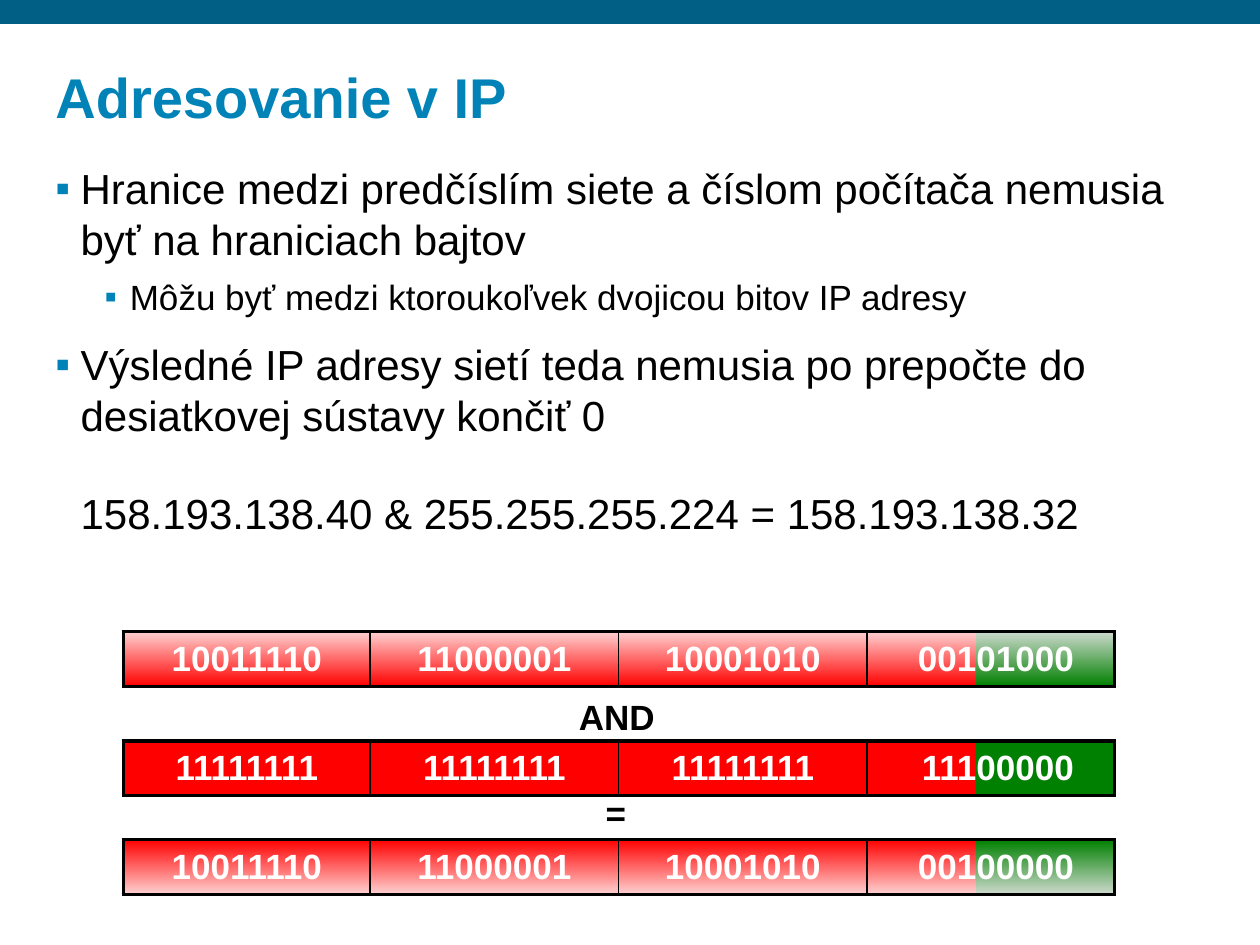
"""Build a slide on IP addressing with a bitwise AND of an address and a mask."""
import lxml.etree
import pptx
import pptx.dml.color
import pptx.enum.shapes
import pptx.enum.text
import pptx.oxml.ns
import pptx.util

Pt = pptx.util.Pt
ALIGN = pptx.enum.text.PP_ALIGN
ANCHOR = pptx.enum.text.MSO_ANCHOR
qualified = pptx.oxml.ns.qn

COLORS = {
    "bar": "015F85", "accent": "0183B7", "text": "000000", "inverse": "FFFFFF",
    "network": "FF0000", "network_light": "FFD0D0",
    "host": "008000", "host_light": "CDD9CD",
}
TITLE = "Adresovanie v IP"
BODY = [
    dict(text="Hranice medzi predčíslím siete a číslom počítača nemusia byť na hraniciach bajtov",
         size=24, indent=14.4, bullet="▪"),
    dict(text="Môžu byť medzi ktoroukoľvek dvojicou bitov IP adresy",
         size=20, indent=42.5, before=7, bullet="▪"),
    dict(text="Výsledné IP adresy sietí teda nemusia po prepočte do desiatkovej sústavy končiť 0",
         size=24, indent=14.4, before=12, bullet="▪"),
    dict(text="158.193.138.40 & 255.255.255.224 = 158.193.138.32",
         size=24, indent=14.4, before=27.6),
]
BIT_ROWS = [
    (361, ["10011110", "11000001", "10001010", "001", "01000"], ("_light", "")),
    (423.4, ["11111111", "11111111", "11111111", "111", "00000"], ("",)),
    (479.8, ["10011110", "11000001", "10001010", "001", "00000"], ("", "_light")),
]
OPERATORS = [("AND", 323.3, 396.7, 58.3), ("=", 339, 451.5, 26)]
COLUMN_WIDTHS = [141, 142, 142, 62.5, 79]
TABLE_LEFT, ROW_HEIGHT = 70.5, 31.2
OUTER_LINE, INNER_LINE = 2.25, 1


def rgb(name):
    """Return the named colour."""
    return pptx.dml.color.RGBColor.from_string(COLORS[name])


def write(paragraph, text, size, color="text", bold=False, align=ALIGN.LEFT,
          before=0, spacing=1.0, indent=0, bullet=None):
    """Fill a paragraph with one formatted run."""
    paragraph.alignment = align
    paragraph.space_before = Pt(before)
    paragraph.line_spacing = spacing
    run = paragraph.add_run()
    run.text = text
    run.font.name = "Arial"
    run.font.size = Pt(size)
    run.font.bold = bold
    run.font.color.rgb = rgb(color)
    properties = paragraph._p.get_or_add_pPr()
    properties.set("marL", str(Pt(indent)))
    if bullet:
        properties.set("indent", str(-Pt(14.4)))
        bullet_color = lxml.etree.SubElement(properties, qualified("a:buClr"))
        lxml.etree.SubElement(bullet_color, qualified("a:srgbClr"), val=COLORS["accent"])
        lxml.etree.SubElement(properties, qualified("a:buFont"), typeface="Arial")
        lxml.etree.SubElement(properties, qualified("a:buChar"), char=bullet)


def add_text(slide, left, top, width, height, paragraphs, wrap=True,
             anchor=ANCHOR.TOP, margins=(6.5, 3)):
    """Add a text box holding the given paragraphs."""
    frame = slide.shapes.add_textbox(Pt(left), Pt(top), Pt(width), Pt(height)).text_frame
    frame.word_wrap = wrap
    frame.vertical_anchor = anchor
    frame.margin_left = frame.margin_right = Pt(margins[0])
    frame.margin_top = frame.margin_bottom = Pt(margins[1])
    for index, content in enumerate(paragraphs):
        write(frame.add_paragraph() if index else frame.paragraphs[0], **content)


def set_borders(cell, widths):
    """Draw left, right, top and bottom borders; a zero width hides one."""
    properties = cell._tc.get_or_add_tcPr()
    for index, (side, width) in enumerate(zip("LRTB", widths)):
        line = lxml.etree.Element(qualified("a:ln" + side), w=str(Pt(width)))
        if width:
            fill = lxml.etree.SubElement(line, qualified("a:solidFill"))
            lxml.etree.SubElement(fill, qualified("a:srgbClr"), val=COLORS["text"])
        else:
            lxml.etree.SubElement(line, qualified("a:noFill"))
        properties.insert(index, line)


def fill_cell(cell, names):
    """Fill a cell with one colour, or with two from top to bottom."""
    if len(names) == 1:
        cell.fill.solid()
        cell.fill.fore_color.rgb = rgb(names[0])
        return
    cell.fill.gradient()
    cell.fill.gradient_angle = 270
    for stop, name in zip(cell.fill.gradient_stops, names):
        stop.color.rgb = rgb(name)


def add_bits(slide, top, values, shades):
    """Add one row of bits, with the last byte split into network and host."""
    count = len(values)
    table = slide.shapes.add_table(1, count, Pt(TABLE_LEFT), Pt(top),
                                   Pt(sum(COLUMN_WIDTHS)), Pt(ROW_HEIGHT)).table
    table.first_row = table.horz_banding = False
    table.rows[0].height = Pt(ROW_HEIGHT)
    verticals = [OUTER_LINE] + [INNER_LINE] * (count - 2) + [0, OUTER_LINE]
    alignments = [ALIGN.CENTER] * (count - 2) + [ALIGN.RIGHT, ALIGN.LEFT]
    for index, value in enumerate(values):
        table.columns[index].width = Pt(COLUMN_WIDTHS[index])
        cell = table.cell(0, index)
        cell.vertical_anchor = ANCHOR.MIDDLE
        cell.margin_left = Pt(0 if index == count - 1 else 7.2)
        cell.margin_right = Pt(0 if index == count - 2 else 7.2)
        write(cell.text_frame.paragraphs[0], value, size=20, color="inverse",
              bold=True, align=alignments[index])
        part = "host" if index == count - 1 else "network"
        fill_cell(cell, [part + shade for shade in shades])
        set_borders(cell, (verticals[index], verticals[index + 1], OUTER_LINE, OUTER_LINE))


def main():
    """Build and save the slide."""
    presentation = pptx.Presentation()
    presentation.slide_width, presentation.slide_height = Pt(720), Pt(540)
    slide = presentation.slides.add_slide(presentation.slide_layouts[6])

    bar = slide.shapes.add_shape(pptx.enum.shapes.MSO_SHAPE.RECTANGLE, 0, 0, Pt(720), Pt(13.7))
    bar.shadow.inherit = False
    bar.fill.solid()
    bar.fill.fore_color.rgb = rgb("bar")
    bar.line.fill.background()

    add_text(slide, 25.2, 23.8, 669, 54,
             [dict(text=TITLE, size=32, color="accent", bold=True, spacing=0.9)],
             anchor=ANCHOR.BOTTOM)
    add_text(slide, 25.2, 90, 669, 426, BODY)
    for top, values, shades in BIT_ROWS:
        add_bits(slide, top, values, shades)
    for text, left, top, width in OPERATORS:
        add_text(slide, left, top, width, 29,
                 [dict(text=text, size=20, bold=True, align=ALIGN.CENTER, spacing=0.9)],
                 wrap=False, margins=(7.2, 3.6))
    presentation.save("out.pptx")


if __name__ == "__main__":
    main()
